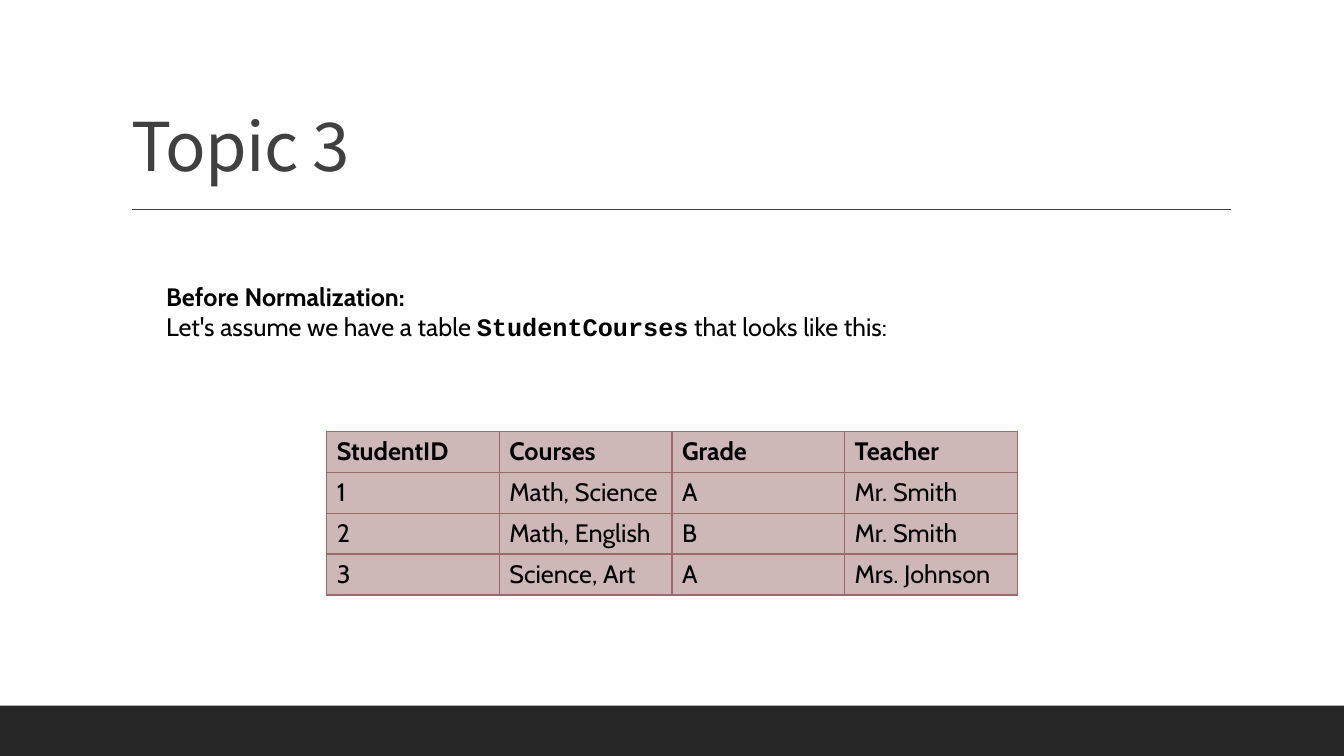
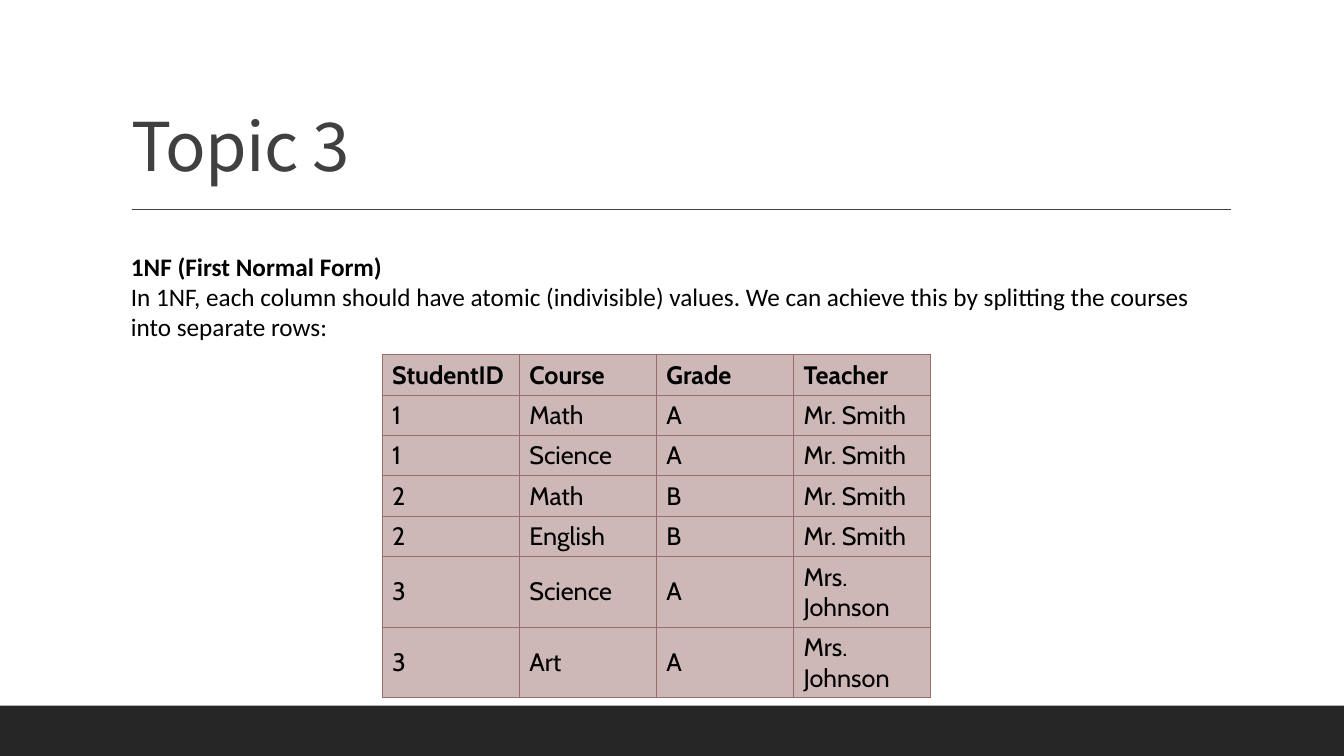
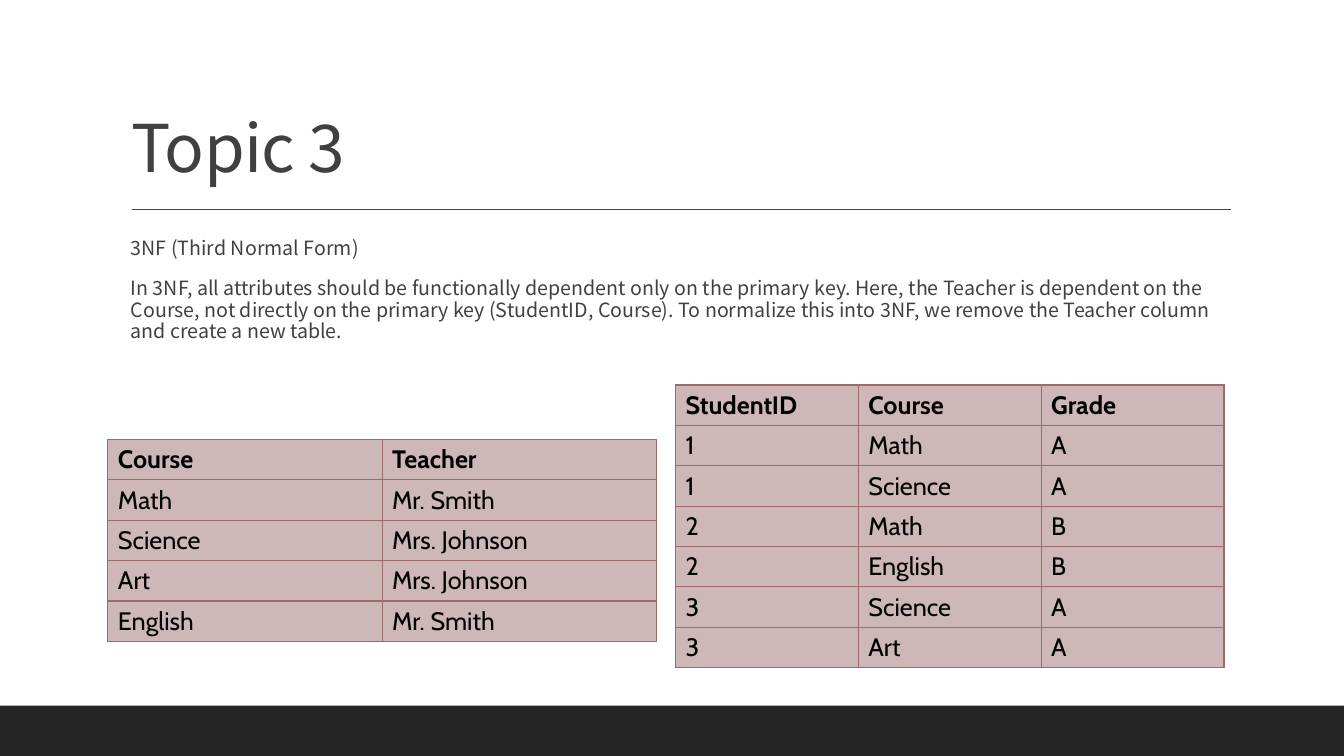
import dataclasses

import pptx
import pptx.dml.color
import pptx.enum.shapes
import pptx.enum.text
import pptx.oxml.ns
import pptx.util
from lxml import etree

Inches = pptx.util.Inches
Pt = pptx.util.Pt
Anchor = pptx.enum.text.MSO_ANCHOR
qn = pptx.oxml.ns.qn


@dataclasses.dataclass(frozen=True)
class Theme:
    band: str = "262626"
    heading: str = "404040"
    text: str = "000000"
    cell: str = "CDB7B7"
    border: str = "9C6A6A"
    heading_font: str = "Noto Sans CJK SC"
    table_font: str = "Cabin"
    code_font: str = "Courier New"
    plain_font: str = "Calibri"
    title_size: float = 48
    text_size: float = 18
    body_size: float = 14


def rgb(color):
    return pptx.dml.color.RGBColor.from_string(color)


def format_run(run, font, size, color, bold=False):
    run.font.name = font
    run.font.size = Pt(size)
    run.font.color.rgb = rgb(color)
    run.font.bold = bold


class Deck:
    def __init__(self, theme):
        self.theme = theme
        self.presentation = pptx.Presentation()
        self.presentation.slide_width = Inches(13.33)
        self.presentation.slide_height = Inches(7.5)
        self.slide = None

    def start_slide(self, title, size=None):
        self.slide = self.presentation.slides.add_slide(self.presentation.slide_layouts[5])
        self.band()
        self.rule()
        self.title(title, size or self.theme.title_size)

    def band(self):
        shape = self.slide.shapes.add_shape(
            pptx.enum.shapes.MSO_SHAPE.RECTANGLE, 0, Inches(7), Inches(13.33), Inches(0.5))
        shape.shadow.inherit = False
        shape.fill.solid()
        shape.fill.fore_color.rgb = rgb(self.theme.band)
        shape.line.fill.background()

    def rule(self):
        line = self.slide.shapes.add_connector(
            pptx.enum.shapes.MSO_CONNECTOR.STRAIGHT,
            Inches(1.31), Inches(2.08), Inches(12.21), Inches(2.08))
        line.line.color.rgb = rgb(self.theme.heading)
        line.line.width = Pt(1)
        etree.SubElement(line._element.spPr, qn("a:effectLst"))

    def title(self, text, size):
        shape = self.slide.shapes.title
        shape.left, shape.top = Inches(1.2), Inches(0.31)
        shape.width, shape.height = Inches(11), Inches(1.59)
        frame = shape.text_frame
        frame.text = text
        frame.auto_size = pptx.enum.text.MSO_AUTO_SIZE.NONE
        frame.vertical_anchor = Anchor.BOTTOM
        paragraph = frame.paragraphs[0]
        paragraph.alignment = pptx.enum.text.PP_ALIGN.LEFT
        paragraph.line_spacing = 0.9
        run = paragraph.runs[0]
        format_run(run, self.theme.heading_font, size, self.theme.heading)
        run.font._element.set("spc", "-50")

    def text_box(self, left, top, width, height):
        shape = self.slide.shapes.add_textbox(
            Inches(left), Inches(top), Inches(width), Inches(height))
        shape.text_frame.word_wrap = True
        return shape.text_frame

    def intro(self, left, top, width, height, heading, pieces, font):
        theme = self.theme
        frame = self.text_box(left, top, width, height)
        frame.text = heading
        format_run(frame.paragraphs[0].runs[0], font, theme.text_size, theme.text, True)
        paragraph = frame.add_paragraph()
        for text, is_code in pieces:
            run = paragraph.add_run()
            run.text = text
            format_run(run, theme.code_font if is_code else font,
                       theme.text_size, theme.text, is_code)

    def body(self, left, top, width, height, lines):
        frame = self.text_box(left, top, width, height)
        frame.text = "\n".join(lines)
        for paragraph in frame.paragraphs:
            paragraph.line_spacing = 0.92
            paragraph.space_after = Pt(13.5)
            format_run(paragraph.runs[0], self.theme.heading_font,
                       self.theme.body_size, self.theme.heading)

    def table(self, left, top, width, rows):
        row_height = 0.4
        column_count = len(rows[0])
        table = self.slide.shapes.add_table(
            len(rows), column_count, Inches(left), Inches(top),
            Inches(width), Inches(row_height * len(rows))).table
        for column in table.columns:
            column.width = Inches(width / column_count)
        for row_index, values in enumerate(rows):
            for column_index, value in enumerate(values):
                self.cell(table.cell(row_index, column_index), value, row_index == 0)

    def cell(self, cell, value, is_header):
        cell.text = value
        cell.vertical_anchor = Anchor.BOTTOM if is_header else Anchor.MIDDLE
        format_run(cell.text_frame.paragraphs[0].runs[0], self.theme.table_font,
                   self.theme.text_size, self.theme.text, is_header)
        properties = cell._tc.get_or_add_tcPr()
        for side in ("a:lnL", "a:lnR", "a:lnT", "a:lnB"):
            line = etree.SubElement(properties, qn(side), w=str(Pt(1)))
            fill = etree.SubElement(line, qn("a:solidFill"))
            etree.SubElement(fill, qn("a:srgbClr"), val=self.theme.border)
        cell.fill.solid()
        cell.fill.fore_color.rgb = rgb(self.theme.cell)


def main():
    theme = Theme()
    deck = Deck(theme)
    topic = "Topic 3"

    deck.start_slide(topic)
    deck.table(3.24, 4.28, 6.85, [
        ("StudentID", "Courses", "Grade", "Teacher"),
        ("1", "Math, Science", "A", "Mr. Smith"),
        ("2", "Math, English", "B", "Mr. Smith"),
        ("3", "Science, Art", "A", "Mrs. Johnson"),
    ])
    deck.intro(1.55, 2.74, 8.09, 0.71, "Before Normalization:", [
        ("Let's assume we have a table ", False),
        ("StudentCourses", True),
        (" that looks like this:", False),
    ], theme.table_font)

    enrolments = [
        ("StudentID", "Course", "Grade", "Teacher"),
        ("1", "Math", "A", "Mr. Smith"),
        ("1", "Science", "A", "Mr. Smith"),
        ("2", "Math", "B", "Mr. Smith"),
        ("2", "English", "B", "Mr. Smith"),
        ("3", "Science", "A", "Mrs. Johnson"),
        ("3", "Art", "A", "Mrs. Johnson"),
    ]
    deck.start_slide(topic)
    deck.intro(1.2, 2.44, 10.81, 1.01, "1NF (First Normal Form)", [
        ("In 1NF, each column should have atomic (indivisible) values. "
         "We can achieve this by splitting the courses into separate rows:", False),
    ], theme.plain_font)
    deck.table(3.79, 3.52, 5.44, enrolments)

    deck.start_slide(topic, size=47)
    deck.body(1.2, 2.31, 11, 1.4, [
        "3NF (Third Normal Form)",
        "In 3NF, all attributes should be functionally dependent only on the primary key. "
        "Here, the Teacher is dependent on the Course, not directly on the primary key "
        "(StudentID, Course). To normalize this into 3NF, we remove the Teacher column "
        "and create a new table.",
    ])
    deck.table(1.07, 4.36, 5.44, [
        ("Course", "Teacher"),
        ("Math", "Mr. Smith"),
        ("Science", "Mrs. Johnson"),
        ("Art", "Mrs. Johnson"),
        ("English", "Mr. Smith"),
    ])
    deck.table(6.7, 3.82, 5.44, [row[:3] for row in enrolments])

    deck.presentation.save("out.pptx")


if __name__ == "__main__":
    main()
